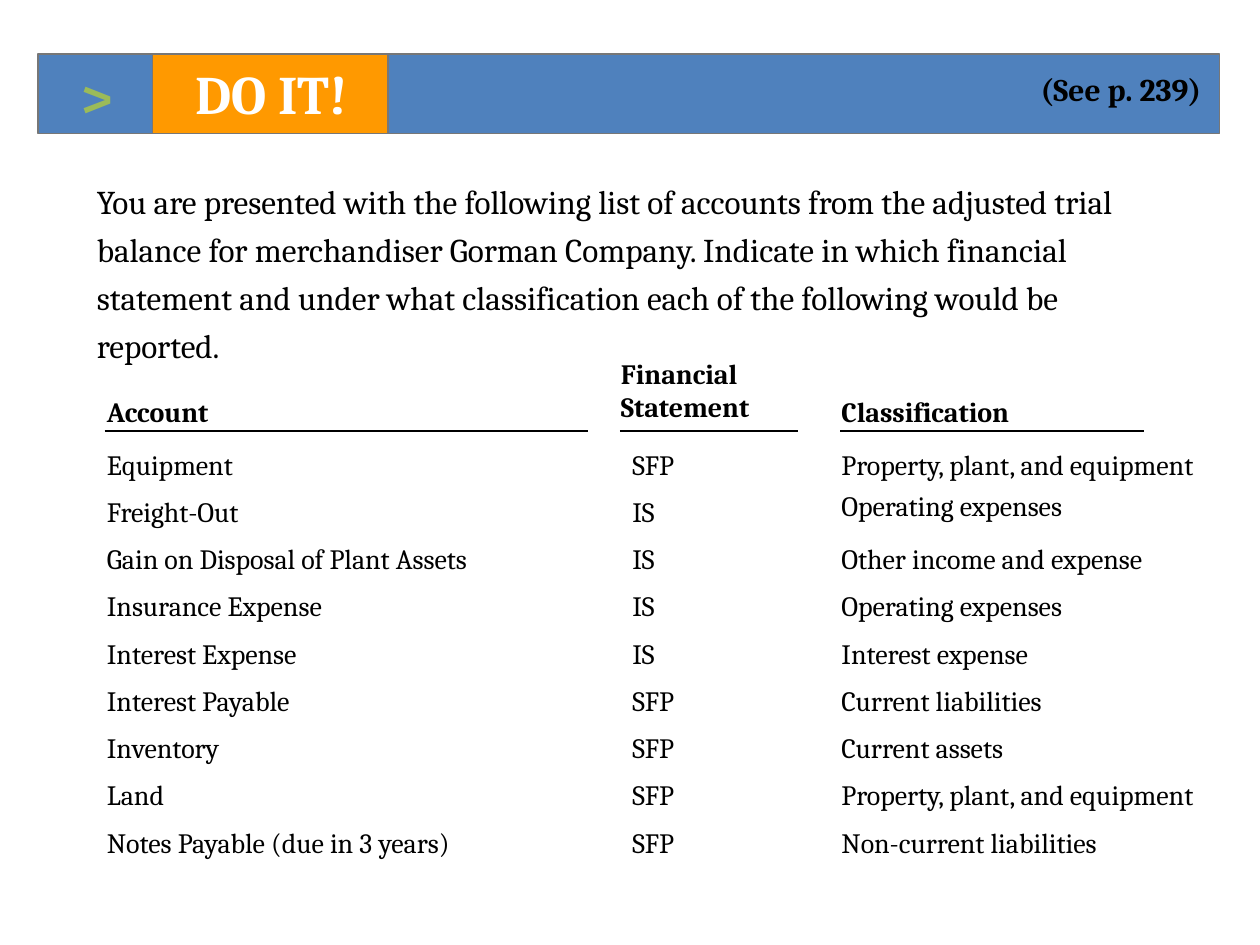
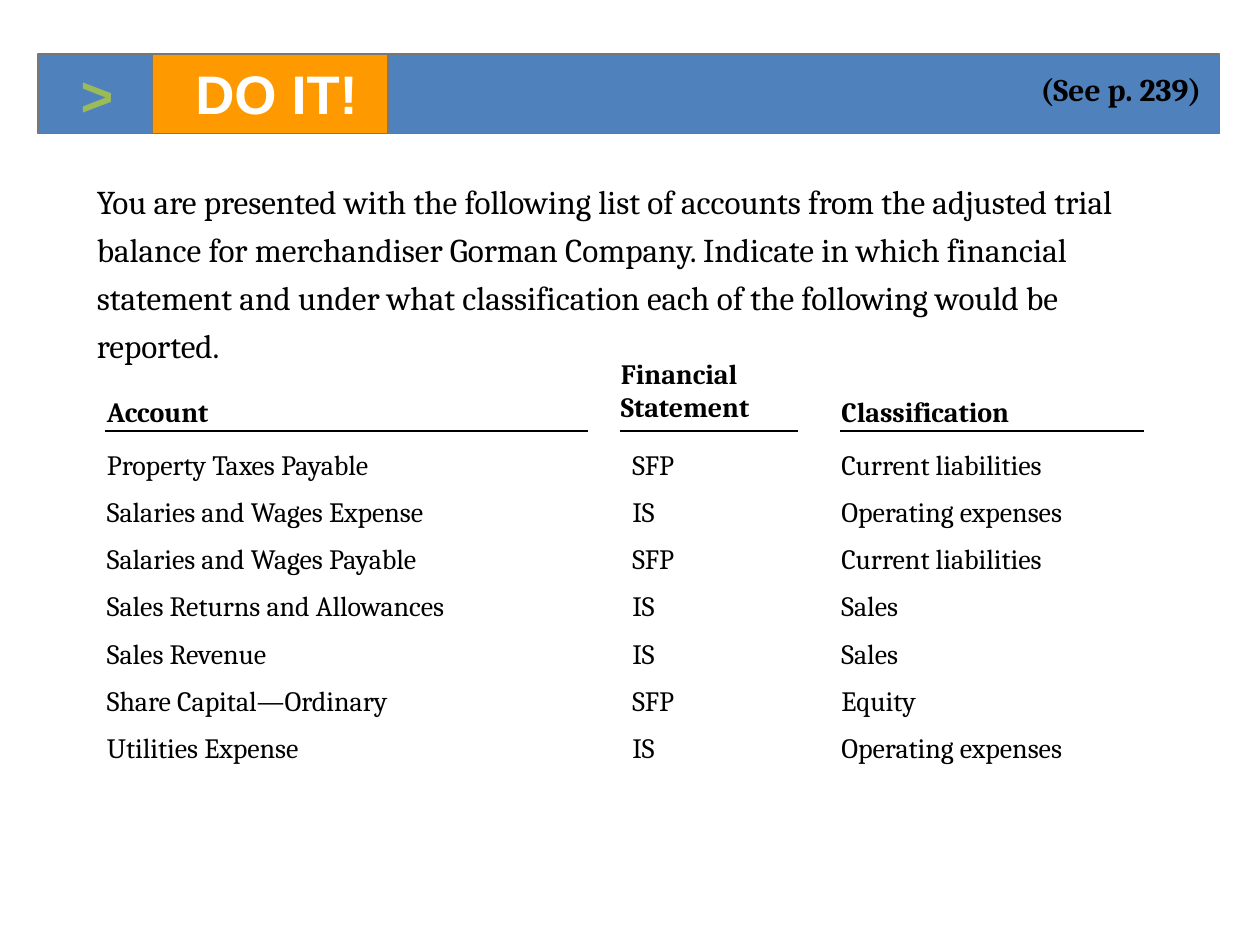
from dataclasses import dataclass
from lxml.etree import SubElement
from pptx import Presentation
from pptx.dml.color import RGBColor
from pptx.enum.shapes import MSO_CONNECTOR, MSO_SHAPE
from pptx.enum.text import MSO_ANCHOR, MSO_AUTO_SIZE, PP_ALIGN
from pptx.oxml.ns import qn
from pptx.util import Inches, Pt


@dataclass(frozen=True)
class Theme:
    black: str = "000000"
    white: str = "FFFFFF"
    blue: str = "4F81BD"
    orange: str = "FF9900"
    green: str = "9BBB59"
    gray: str = "777777"
    serif: str = "Cambria"
    sans: str = "Arial"
    mark: int = 32
    title: int = 31
    intro: int = 19
    page: int = 18
    cell: int = 16


theme = Theme()


def write(shape, text, size, color=theme.black, font=theme.serif, bold=False):
    frame = shape.text_frame
    frame.word_wrap = True
    frame.vertical_anchor = MSO_ANCHOR.TOP
    para = frame.paragraphs[0]
    para.alignment = PP_ALIGN.LEFT
    run = para.add_run()
    run.text = text
    run.font.size = Pt(size)
    run.font.name = font
    run.font.bold = bold
    run.font.color.rgb = RGBColor.from_string(color)
    return frame


def block(slide, place, fill, line=None):
    shape = slide.shapes.add_shape(MSO_SHAPE.RECTANGLE, *map(Inches, place))
    shape.shadow.inherit = False
    shape.fill.solid()
    shape.fill.fore_color.rgb = RGBColor.from_string(fill)
    if line:
        shape.line.color.rgb = RGBColor.from_string(line)
        shape.line.width = Pt(1)
    else:
        shape.line.fill.background()
    return shape


intro = (
    "You are presented with the following list of accounts from the adjusted trial "
    "balance for merchandiser Gorman Company. Indicate in which financial statement "
    "and under what classification each of the following would be reported."
)
heads = [
    ("Account", 0.75, 3.08, 3.42, 0.37),
    ("Financial Statement", 4.83, 2.78, 1.58, 0.64),
    ("Classification", 6.58, 3.08, 2.83, 0.37),
]
rules = [(0.83, 4.67), (4.92, 6.33), (6.67, 9.08)]
cols = [(0.75, 4.08), (4.92, 1.42), (6.58, 3.25)]
top, step, high = 3.5, 0.375, 0.37
raised = {"Freight-Out": 0.05}

first = [
    ("Equipment", "SFP", "Property, plant, and equipment"),
    ("Freight-Out", "IS", "Operating expenses"),
    ("Gain on Disposal of Plant Assets", "IS", "Other income and expense"),
    ("Insurance Expense", "IS", "Operating expenses"),
    ("Interest Expense", "IS", "Interest expense"),
    ("Interest Payable", "SFP", "Current liabilities"),
    ("Inventory", "SFP", "Current assets"),
    ("Land", "SFP", "Property, plant, and equipment"),
    ("Notes Payable (due in 3 years)", "SFP", "Non-current liabilities"),
]
second = [
    ("Property Taxes Payable", "SFP", "Current liabilities"),
    ("Salaries and Wages Expense", "IS", "Operating expenses"),
    ("Salaries and Wages Payable", "SFP", "Current liabilities"),
    ("Sales Returns and Allowances", "IS", "Sales"),
    ("Sales Revenue", "IS", "Sales"),
    ("Share Capital—Ordinary", "SFP", "Equity"),
    ("Utilities Expense", "IS", "Operating expenses"),
]

deck = Presentation()
deck.slide_width = Inches(10)
deck.slide_height = Inches(7.5)

for rows, font in [(first, theme.serif), (second, theme.sans)]:
    slide = deck.slides.add_slide(deck.slide_layouts[6])

    frame = write(block(slide, (0.67, 1.33, 8.75, 1.64), theme.white), intro, theme.intro)
    frame.paragraphs[0].line_spacing = 1.2

    texts = [(text, place, theme.cell, True) for text, *place in heads]
    for i, row in enumerate(rows):
        for j, (text, (left, width)) in enumerate(zip(row, cols)):
            lift = raised.get(row[0], 0) if j == 2 else 0
            place = (left, top + i * step - lift, width, high)
            texts.append((text, place, theme.cell, False))
    texts.append(("(See p. 239)", (8.16, 0.51, 1.72, 0.4), theme.page, True))

    for start, end in rules:
        rule = slide.shapes.add_connector(
            MSO_CONNECTOR.STRAIGHT, Inches(start), Inches(3.42), Inches(end), Inches(3.42)
        )
        rule.line.color.rgb = RGBColor.from_string(theme.black)
        rule.line.width = Pt(1.5)
        SubElement(rule._element.spPr, qn("a:effectLst"))

    band = block(slide, (0.3, 0.43, 9.38, 0.63), theme.blue, theme.gray)
    frame = write(band, ">", theme.mark, theme.green, font, True)
    frame.vertical_anchor = MSO_ANCHOR.MIDDLE
    frame.margin_left = Inches(0.34)

    label = block(slide, (1.21, 0.43, 1.87, 0.63), theme.orange, theme.gray)
    frame = write(label, "DO IT!", theme.title, theme.white, font, True)
    frame.margin_left = Inches(0.34)

    for text, place, size, bold in texts:
        box = slide.shapes.add_textbox(*map(Inches, place))
        frame = write(box, text, size, bold=bold)
        frame.auto_size = MSO_AUTO_SIZE.SHAPE_TO_FIT_TEXT

deck.save("out.pptx")
